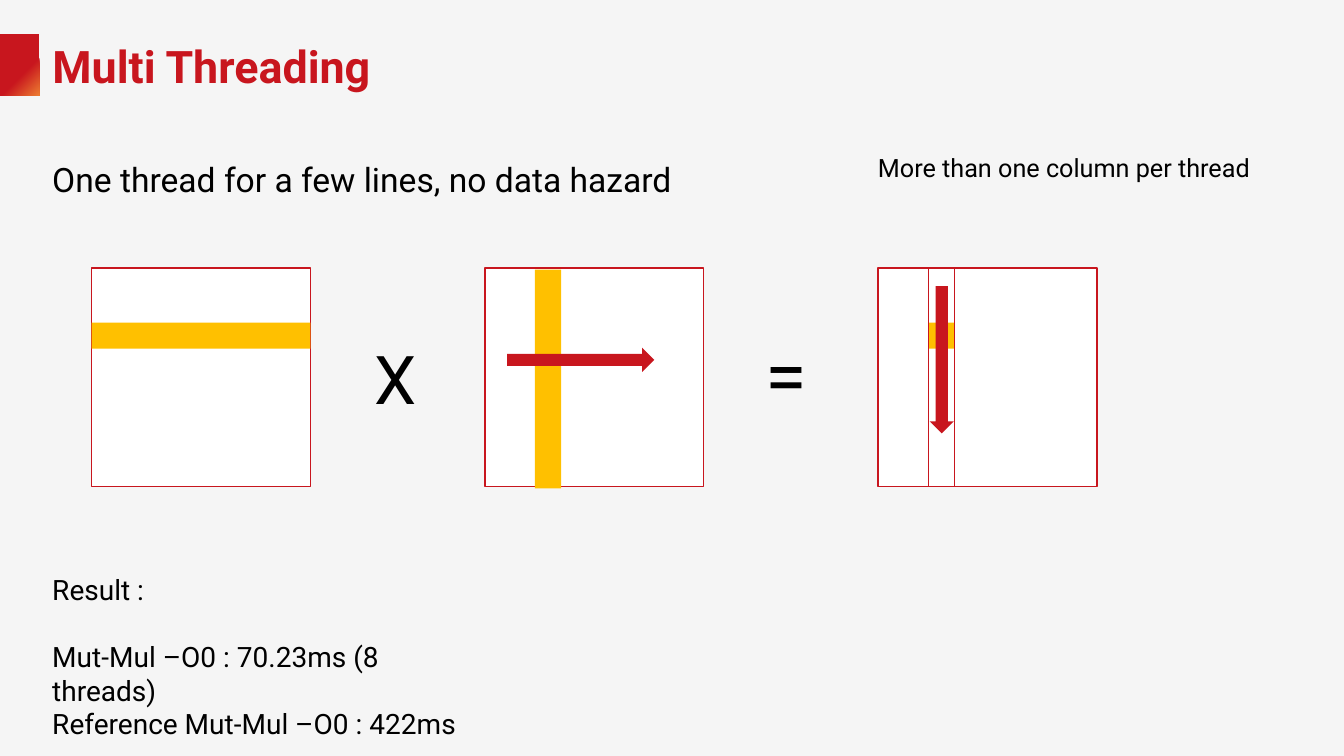
"""Build the slide on multi-threaded matrix multiplication."""
from pptx import Presentation
from pptx.dml.color import RGBColor
from pptx.enum import shapes, text
from pptx.util import Inches, Pt

RED = RGBColor(0xC8, 0x16, 0x1E)
ORANGE = RGBColor(0xED, 0x7D, 0x31)
YELLOW = RGBColor(0xFF, 0xC0, 0x00)
WHITE = RGBColor(0xFF, 0xFF, 0xFF)
BLACK = RGBColor(0x00, 0x00, 0x00)
PAPER = RGBColor(0xF5, 0xF5, 0xF5)
FONT = "Roboto"
RECT = shapes.MSO_SHAPE.RECTANGLE
ARROW = shapes.MSO_SHAPE.RIGHT_ARROW
SIDE, BAND, TOP = 2.17, 0.26, 2.66
MATRIX_LEFT, MATRIX_STEP = 0.91, 3.9


def set_font(p, size, color=BLACK, bold=False):
    p.font.name = FONT
    p.font.size = Pt(size)
    p.font.color.rgb = color
    p.font.bold = bold


def add_block(s, kind, x, y, w, h, fill=None, line=None, rotation=0):
    sp = s.shapes.add_shape(kind, Inches(x), Inches(y), Inches(w), Inches(h))
    sp.shadow.inherit = False
    sp.rotation = rotation
    if fill is None:
        sp.fill.background()
    else:
        sp.fill.solid()
        sp.fill.fore_color.rgb = fill
    if line is None:
        sp.line.fill.background()
    else:
        sp.line.color.rgb = line
        sp.line.width = Pt(1)
    return sp


def add_text(s, x, y, w, h, size, *lines):
    tf = s.shapes.add_textbox(Inches(x), Inches(y), Inches(w), Inches(h)).text_frame
    tf.word_wrap = True
    tf.text = "\n".join(lines)
    for p in tf.paragraphs:
        set_font(p, size)
    return tf


def add_title(s, words):
    tab = add_block(s, RECT, 0, 0.34, 0.39, 0.61)
    tab.fill.gradient()
    tab.fill.gradient_angle = 315
    for stop, position, color in zip(tab.fill.gradient_stops, (0.62, 1), (RED, ORANGE)):
        stop.position = position
        stop.color.rgb = color
    title = s.shapes.title
    title.left, title.top = Inches(0.42), Inches(0.29)
    title.width, title.height = Inches(9.78), Inches(0.72)
    tf = title.text_frame
    tf.text = words
    tf.vertical_anchor = text.MSO_ANCHOR.MIDDLE
    p = tf.paragraphs[0]
    p.alignment = text.PP_ALIGN.LEFT
    set_font(p, 32, RED, True)


def add_matrices(s):
    for i in range(3):
        add_block(s, RECT, MATRIX_LEFT + i * MATRIX_STEP, TOP, SIDE, SIDE, WHITE, RED)
    add_text(s, 3.62, 3.3, 0.6, 0.91, 48, "X")
    add_text(s, 7.49, 3.2, 0.72, 1.01, 54, "=")
    row_top, column_left = 3.2, 9.21
    add_block(s, RECT, MATRIX_LEFT, row_top, SIDE, BAND, YELLOW)
    add_block(s, RECT, 4.35, 3.63, SIDE, BAND, YELLOW, rotation=90)
    add_block(s, RECT, column_left, row_top, BAND, BAND, YELLOW)
    add_block(s, RECT, column_left, TOP, BAND, SIDE, line=RED)
    for x, rotation in ((5.03, 0), (8.61, 90)):
        add_block(s, ARROW, x, 3.45, 1.46, 0.24, RED, rotation=rotation)


def main():
    prs = Presentation()
    prs.slide_width, prs.slide_height = Inches(13.33), Inches(7.5)
    s = prs.slides.add_slide(prs.slide_layouts[5])
    s.background.fill.solid()
    s.background.fill.fore_color.rgb = PAPER
    add_title(s, "Multi Threading")
    add_text(s, 0.42, 1.53, 6.44, 0.5, 24, "One thread for a few lines, no data hazard")
    add_matrices(s)
    result = add_text(s, 0.42, 5.63, 4.5, 1.45, 20, "Result :",
                      "Mut-Mul –O0 : 70.23ms (8 threads)",
                      "Reference Mut-Mul –O0 : 422ms")
    result.paragraphs[1].space_before = Pt(24)
    add_text(s, 8.61, 1.46, 3.97, 0.4, 18, "More than one column per thread")
    prs.save("out.pptx")


if __name__ == "__main__":
    main()
